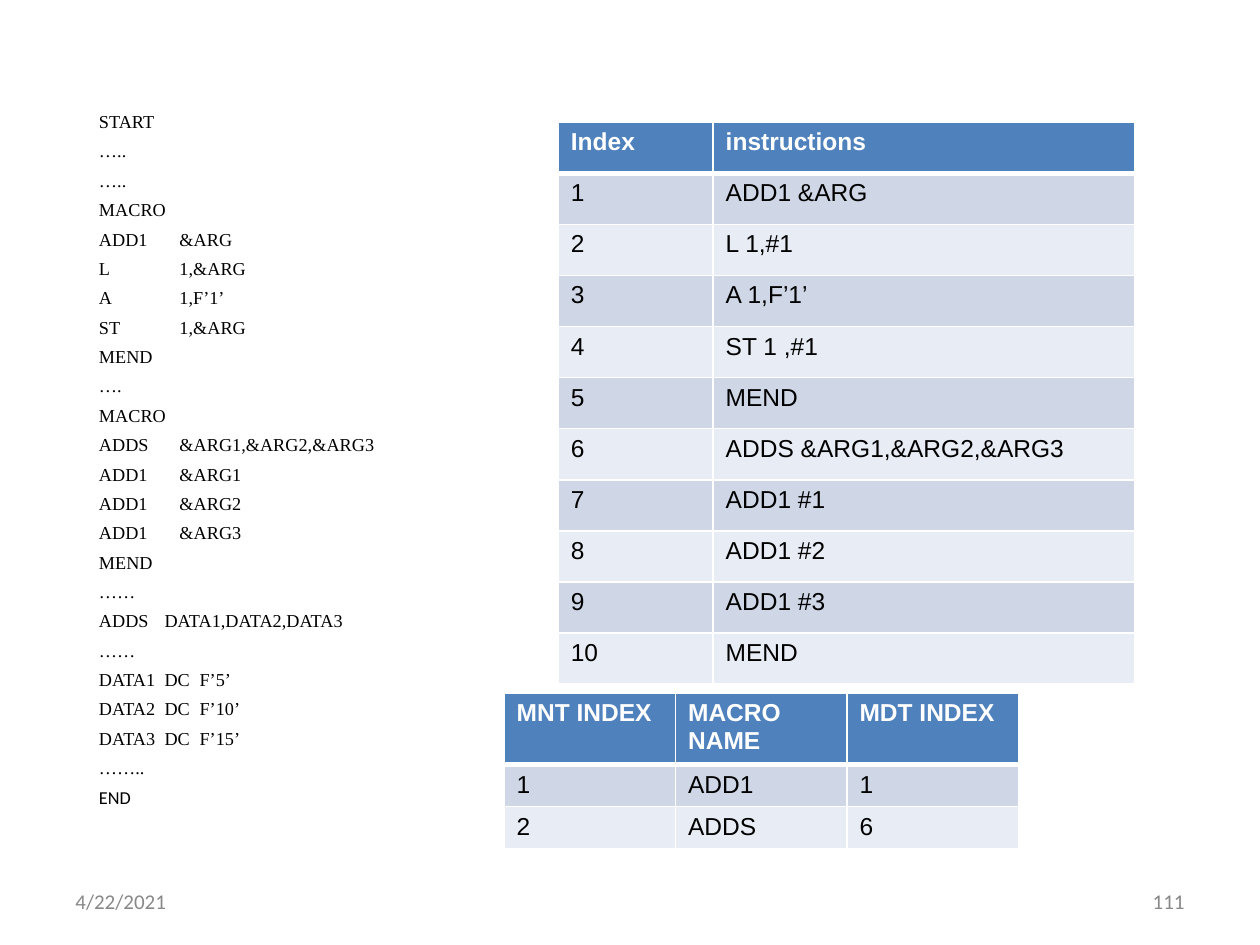
import pptx
import pptx.dml.color
import pptx.enum.text
import pptx.oxml
import pptx.oxml.ns
import pptx.util
import lxml.etree

Pt = pptx.util.Pt
RGBColor = pptx.dml.color.RGBColor
Align = pptx.enum.text.PP_ALIGN
Anchor = pptx.enum.text.MSO_ANCHOR
qn = pptx.oxml.ns.qn

BLACK = RGBColor(0x00, 0x00, 0x00)
WHITE = RGBColor(0xFF, 0xFF, 0xFF)
GRAY = RGBColor(0x88, 0x88, 0x88)
HEADER_BLUE = RGBColor(0x4F, 0x81, 0xBD)
BANDS = (RGBColor(0xCF, 0xD7, 0xE7), RGBColor(0xE8, 0xEC, 0xF4))

MACRO_TABS = (46,)
DATA_TABS = (37.5, 57.5)

MACRO_LINES = [
    "START", "…..", "…..",
    "MACRO", "ADD1\t&ARG", "L\t1,&ARG", "A\t1,F’1’", "ST\t1,&ARG", "MEND",
    "….",
    "MACRO", "ADDS\t&ARG1,&ARG2,&ARG3", "ADD1\t&ARG1", "ADD1\t&ARG2",
    "ADD1\t&ARG3", "MEND", "……",
]
DATA_LINES = [
    "ADDS\tDATA1,DATA2,DATA3", "……",
    "DATA1\tDC\tF’5’", "DATA2\tDC\tF’10’", "DATA3\tDC\tF’15’", "……..",
]
INSTRUCTIONS = [
    "ADD1 &ARG", "L 1,#1", "A 1,F’1’", "ST 1 ,#1", "MEND",
    "ADDS &ARG1,&ARG2,&ARG3", "ADD1 #1", "ADD1 #2", "ADD1 #3", "MEND",
]
DEFINITION_ROWS = [("Index", "instructions")] + [
    (str(index), text) for index, text in enumerate(INSTRUCTIONS, 1)
]
NAME_ROWS = [
    ("MNT INDEX", "MACRO NAME", "MDT INDEX"),
    ("1", "ADD1", "1"),
    ("2", "ADDS", "6"),
]


class SlideBuilder:
    code_font = "Times New Roman"
    table_font = "Arial"
    plain_font = "Calibri"

    def __init__(self, slide):
        self.slide = slide

    def run(self, paragraph, text, font, size, color, bold=False):
        run = paragraph.add_run()
        run.text = text
        run.font.name = font
        run.font.size = Pt(size)
        run.font.bold = bold
        run.font.color.rgb = color

    def box(self, left, top, width, height, anchor):
        shape = self.slide.shapes.add_textbox(Pt(left), Pt(top), Pt(width), Pt(height))
        frame = shape.text_frame
        frame.word_wrap = True
        frame.vertical_anchor = anchor
        return frame

    def tab_stops(self, paragraph, positions):
        properties = paragraph._p.get_or_add_pPr()
        tab_list = lxml.etree.SubElement(properties, qn("a:tabLst"))
        for position in positions:
            lxml.etree.SubElement(
                tab_list, qn("a:tab"), pos=str(int(Pt(position))), algn="l"
            )

    def listing(self, left, top, width, height, lines):
        frame = self.box(left, top, width, height, Anchor.TOP)
        for number, (text, tabs, font) in enumerate(lines):
            paragraph = frame.add_paragraph() if number else frame.paragraphs[0]
            paragraph.line_spacing = 0.8
            paragraph.space_before = Pt(6.8)
            self.tab_stops(paragraph, tabs)
            self.run(paragraph, text, font, 10.4, BLACK)

    def footer(self, left, text, alignment):
        frame = self.box(left, 500.5, 168, 28.8, Anchor.MIDDLE)
        paragraph = frame.paragraphs[0]
        paragraph.alignment = alignment
        self.run(paragraph, text, self.plain_font, 12, GRAY)

    def borders(self, cell, bottom_width):
        properties = cell._tc.get_or_add_tcPr()
        widths = {"lnL": 1, "lnR": 1, "lnT": 1, "lnB": bottom_width}
        for index, (side, width) in enumerate(widths.items()):
            line = pptx.oxml.parse_xml(
                f'<a:{side} {pptx.oxml.ns.nsdecls("a")} w="{int(Pt(width))}">'
                f'<a:solidFill><a:srgbClr val="{WHITE}"/></a:solidFill></a:{side}>'
            )
            properties.insert(index, line)

    def table(self, left, top, widths, heights, rows):
        frame = self.slide.shapes.add_table(
            len(rows), len(widths), Pt(left), Pt(top), Pt(sum(widths)), Pt(sum(heights))
        )
        table = frame.table
        for column, width in zip(table.columns, widths):
            column.width = Pt(width)
        for number, values in enumerate(rows):
            table.rows[number].height = Pt(heights[number])
            header = number == 0
            fill = HEADER_BLUE if header else BANDS[(number - 1) % 2]
            for position, text in enumerate(values):
                cell = table.cell(number, position)
                cell.fill.solid()
                cell.fill.fore_color.rgb = fill
                top_width = 3 if header else 1
                self.borders(cell, top_width)
                self.run(
                    cell.text_frame.paragraphs[0], text, self.table_font, 14,
                    WHITE if header else BLACK, header,
                )


def main():
    presentation = pptx.Presentation()
    presentation.slide_width = Pt(720)
    presentation.slide_height = Pt(540)
    slide = presentation.slides.add_slide(presentation.slide_layouts[6])
    builder = SlideBuilder(slide)

    lines = [(text, MACRO_TABS, builder.code_font) for text in MACRO_LINES]
    lines += [(text, DATA_TABS, builder.code_font) for text in DATA_LINES]
    lines.append(("END", DATA_TABS, builder.plain_font))
    builder.listing(49.5, 62, 634.5, 448, lines)
    builder.footer(36, "4/22/2021", Align.LEFT)
    builder.footer(516, "111", Align.RIGHT)
    builder.table(319, 69.8, (88.5, 241.2), [29.2] * 11, DEFINITION_ROWS)
    builder.table(288, 396, (98,) * 3, (39, 22.5, 22.5), NAME_ROWS)

    presentation.save("out.pptx")


if __name__ == "__main__":
    main()
